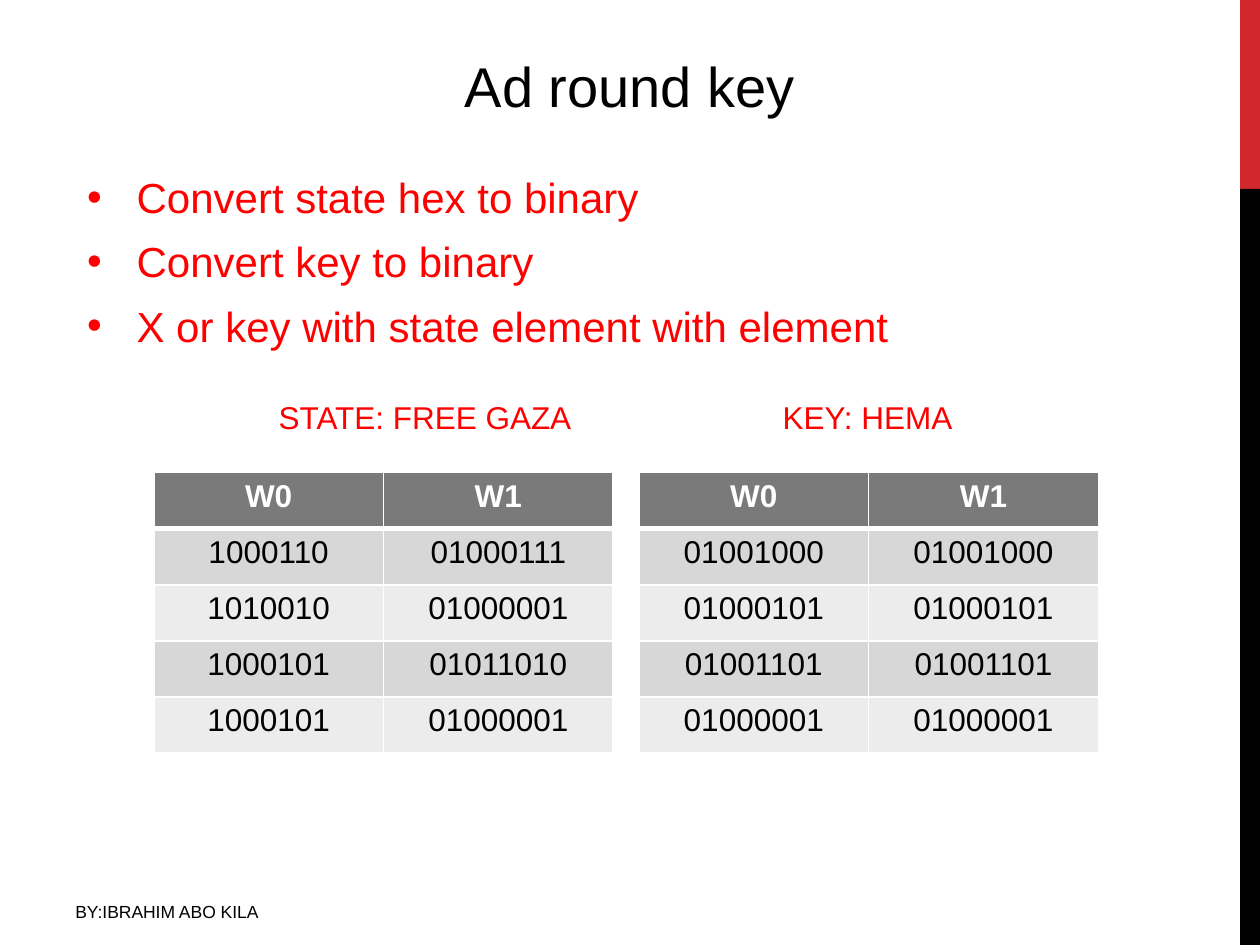
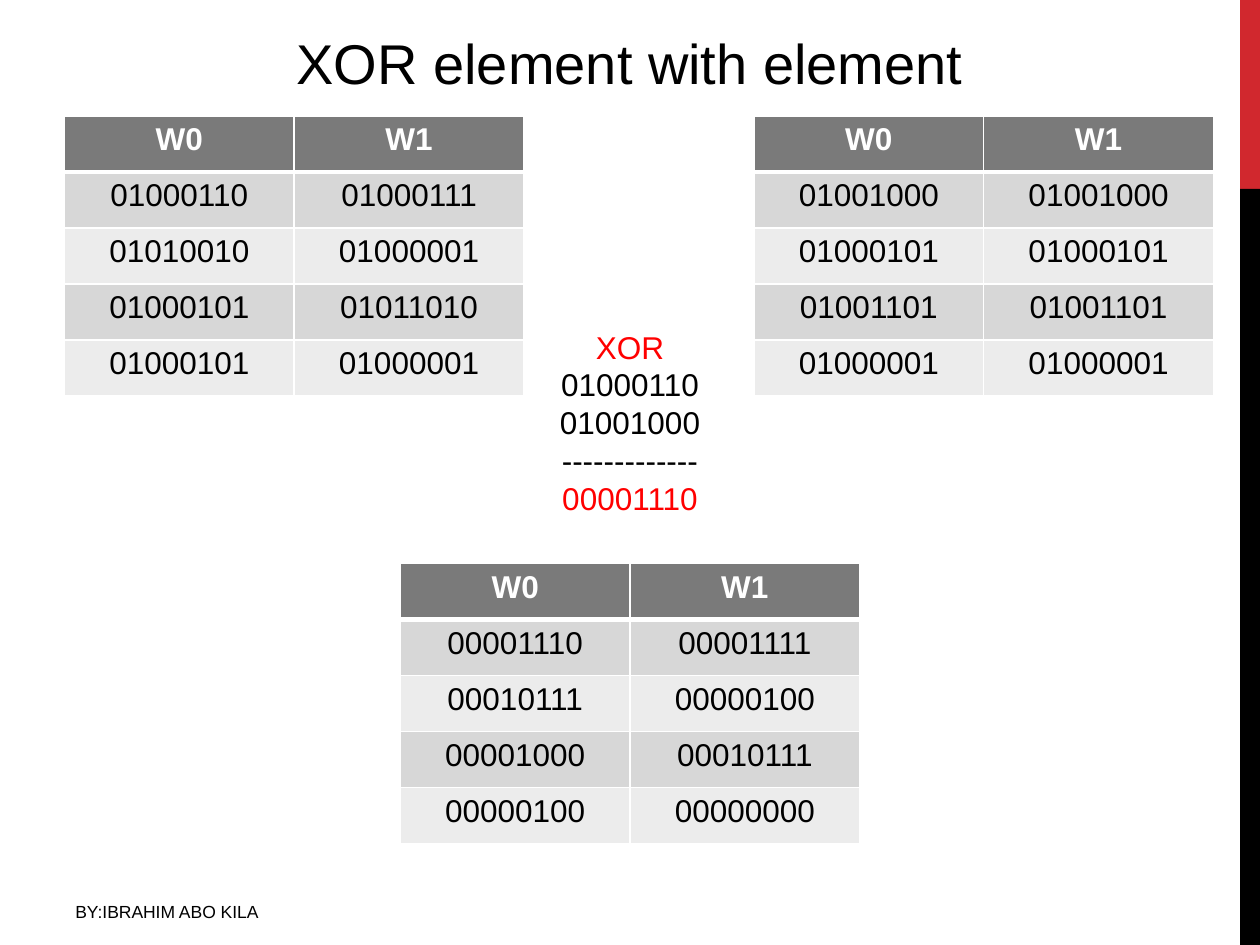
from lxml import etree
from pptx import Presentation
from pptx.dml.color import RGBColor
from pptx.enum.shapes import MSO_SHAPE
from pptx.enum.text import MSO_ANCHOR, MSO_AUTO_SIZE, PP_ALIGN
from pptx.oxml.ns import qn
from pptx.util import Cm, Pt

RECTANGLE = MSO_SHAPE.RECTANGLE
LEFT, CENTER = PP_ALIGN.LEFT, PP_ALIGN.CENTER
TOP, MIDDLE = MSO_ANCHOR.TOP, MSO_ANCHOR.MIDDLE
FIXED_SIZE = MSO_AUTO_SIZE.NONE

FONT = "Arial"
BLACK = RGBColor(0x00, 0x00, 0x00)
WHITE = RGBColor(0xFF, 0xFF, 0xFF)
RED = RGBColor(0xFF, 0x00, 0x00)
BAND_RED = RGBColor(0xD1, 0x28, 0x2E)
HEADER_GRAY = RGBColor(0x7A, 0x7A, 0x7A)
ROW_GRAYS = (RGBColor(0xD7, 0xD7, 0xD7), RGBColor(0xEC, 0xEC, 0xEC))

SLIDE_WIDTH, SLIDE_HEIGHT = Cm(25.4), Cm(19.05)
BAND_LEFT, BAND_SPLIT = Cm(25), Cm(3.81)
COLUMN_WIDTH, ROW_HEIGHT = Cm(4.63), Cm(1.13)
TITLE_ONLY_LAYOUT, CONTENT_LAYOUT = 5, 1

HEADINGS = ("W0", "W1")
STATE = [
    ("01000110", "01000111"),
    ("01010010", "01000001"),
    ("01000101", "01011010"),
    ("01000101", "01000001"),
]
KEY = [(word, word) for word in ("01001000", "01000101", "01001101", "01000001")]


def xor_bits(first, second):
    return format(int(first, 2) ^ int(second, 2), "08b")


def format_paragraph(paragraph, size, color, alignment=LEFT, bold=False):
    paragraph.alignment = alignment
    for run in paragraph.runs:
        run.font.name = FONT
        run.font.size = Pt(size)
        run.font.bold = bold
        run.font.color.rgb = color


def place(shape, left, top, width, height):
    shape.left, shape.top = Cm(left), Cm(top)
    shape.width, shape.height = Cm(width), Cm(height)


def add_text(slide, box, lines, size, alignment=LEFT):
    """Add a text box; lines holds pairs of text and colour."""
    text_frame = slide.shapes.add_textbox(*(Cm(length) for length in box)).text_frame
    text_frame.word_wrap = True
    text_frame.text = "\n".join(text for text, _ in lines)
    for paragraph, (_, color) in zip(text_frame.paragraphs, lines):
        format_paragraph(paragraph, size, color, alignment)


def add_band(slide, top, bottom, color):
    band = slide.shapes.add_shape(
        RECTANGLE, BAND_LEFT, top, SLIDE_WIDTH - BAND_LEFT, bottom - top)
    band.shadow.inherit = False
    band.fill.solid()
    band.fill.fore_color.rgb = color
    band.line.fill.background()


def add_slide(presentation, layout, title_text, title_top):
    """Add a slide with the shared title style, side bands and footer."""
    slide = presentation.slides.add_slide(presentation.slide_layouts[layout])
    add_band(slide, 0, BAND_SPLIT, BAND_RED)
    add_band(slide, BAND_SPLIT, SLIDE_HEIGHT, BLACK)
    add_text(slide, (1.27, 18.03, 9.53, 0.8), [("BY:IBRAHIM ABO KILA", BLACK)], 10)
    title = slide.shapes.title
    place(title, 2.6, title_top, 20.2, 1.63)
    title.text_frame.text = title_text
    title.text_frame.auto_size = FIXED_SIZE
    title.text_frame.vertical_anchor = MIDDLE
    format_paragraph(title.text_frame.paragraphs[0], 32, BLACK, CENTER)
    return slide


def fill_bullets(body, items):
    text_frame = body.text_frame
    text_frame.text = "\n".join(items)
    text_frame.auto_size = FIXED_SIZE
    text_frame.vertical_anchor = TOP
    for paragraph in text_frame.paragraphs:
        format_paragraph(paragraph, 24, RED)
        paragraph.space_before = Pt(0)
        paragraph.space_after = Pt(8)
        properties = paragraph._p.get_or_add_pPr()
        properties.set("marL", str(Cm(1)))
        properties.set("indent", str(-Cm(1)))


def set_borders(cell, top_width, bottom_width):
    """Draw white borders; the side borders are one point wide."""
    properties = cell._tc.get_or_add_tcPr()
    widths = {"a:lnL": 1, "a:lnR": 1, "a:lnT": top_width, "a:lnB": bottom_width}
    for position, (tag, width) in enumerate(widths.items()):
        line = etree.Element(qn(tag), w=str(Pt(width)))
        fill = etree.SubElement(line, qn("a:solidFill"))
        etree.SubElement(fill, qn("a:srgbClr"), val=str(WHITE))
        properties.insert(position, line)


def add_word_table(slide, left, top, words):
    rows = [HEADINGS, *words]
    table = slide.shapes.add_table(
        len(rows), len(HEADINGS), Cm(left), Cm(top),
        COLUMN_WIDTH * len(HEADINGS), ROW_HEIGHT * len(rows)).table
    for column in table.columns:
        column.width = COLUMN_WIDTH
    for row_index, values in enumerate(rows):
        table.rows[row_index].height = ROW_HEIGHT
        is_header = row_index == 0
        for column_index, value in enumerate(values):
            cell = table.cell(row_index, column_index)
            cell.text_frame.text = value
            format_paragraph(cell.text_frame.paragraphs[0], 18,
                             WHITE if is_header else BLACK, CENTER, is_header)
            cell.fill.solid()
            cell.fill.fore_color.rgb = (
                HEADER_GRAY if is_header else ROW_GRAYS[(row_index - 1) % 2])
            set_borders(cell, 3 if row_index == 1 else 1, 3 if is_header else 1)


def build_round_key_slide(presentation):
    slide = add_slide(presentation, CONTENT_LAYOUT, "Ad round key", 0.91)
    body = slide.placeholders[1]
    place(body, 1.5, 3.33, 20, 3.9)
    fill_bullets(body, ["Convert state hex to binary", "Convert key to binary",
                        "X or key with state element with element"])
    add_text(slide, (5.05, 7.9, 7.04, 1.02), [("STATE: FREE GAZA", RED)], 18, CENTER)
    add_text(slide, (15.09, 7.9, 4.8, 1.02), [("KEY: HEMA", RED)], 18, CENTER)
    short_state = [(first.lstrip("0"), second) for first, second in STATE]
    add_word_table(slide, 3.1, 9.53, short_state)
    add_word_table(slide, 12.88, 9.53, KEY)


def build_xor_slide(presentation):
    slide = add_slide(presentation, TITLE_ONLY_LAYOUT, "XOR element with element", 0.43)
    result = [tuple(map(xor_bits, *pair)) for pair in zip(STATE, KEY)]
    example = [("XOR", RED), (STATE[0][0], BLACK), (KEY[0][0], BLACK),
               ("-" * 13, BLACK), (result[0][0], RED)]
    add_text(slide, (7.7, 6.48, 10, 4.88), example, 18, CENTER)
    add_word_table(slide, 1.3, 2.34, STATE)
    add_word_table(slide, 15.2, 2.34, KEY)
    add_word_table(slide, 8.07, 11.36, result)


def main():
    presentation = Presentation()
    presentation.slide_width, presentation.slide_height = SLIDE_WIDTH, SLIDE_HEIGHT
    build_round_key_slide(presentation)
    build_xor_slide(presentation)
    presentation.save("out.pptx")


if __name__ == "__main__":
    main()
